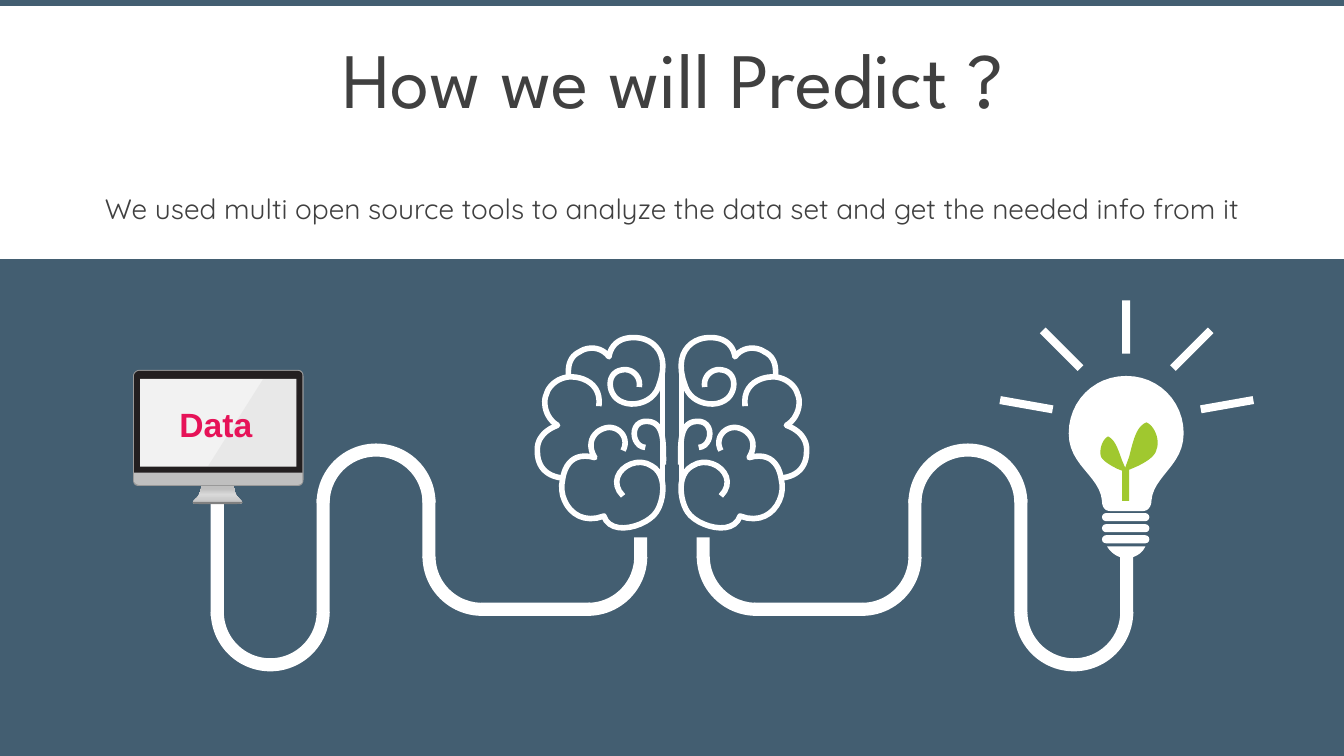
"""Build the 'How we will Predict ?' slide: data flows through a brain to an idea."""
from lxml.etree import SubElement
from pptx import Presentation
from pptx.dml.color import RGBColor
from pptx.enum.shapes import MSO_CONNECTOR as CONN, MSO_SHAPE as SHP
from pptx.enum.text import MSO_ANCHOR as ANC, MSO_AUTO_SIZE as FIT, PP_ALIGN as AL
from pptx.oxml.ns import qn
from pptx.util import Inches, Pt

W, H = 13.33, 7.5
SLATE, WHITE, DARK = "435E71", "FFFFFF", "404040"
rgb = RGBColor.from_string

prs = Presentation()
prs.slide_width, prs.slide_height = Inches(W), Inches(H)
slide = prs.slides.add_slide(prs.slide_layouts[5])
shapes = slide.shapes


def box(x, y, w, h, fill=WHITE, kind=SHP.RECTANGLE, rot=0, adj=()):
    """Add a filled preset shape without outline."""
    s = shapes.add_shape(kind, *map(Inches, (x, y, w, h)))
    s.shadow.inherit = False
    s.fill.solid()
    s.fill.fore_color.rgb = rgb(fill)
    s.line.fill.background()
    s.rotation = rot
    for i, value in enumerate(adj):
        s.adjustments[i] = value
    return s


def free(d, fill=None, mirror=False):
    """Draw M/L/C/Z path data, filled or as a white 4 pt stroke."""
    pts, nums, cmd = [], [], "M"
    for token in d.split():
        if token.isalpha():
            cmd = token
            continue
        nums.append(float(token))
        if len(nums) == (6 if cmd == "C" else 2):
            if cmd == "C":
                x0, y0 = pts[-1]
                x1, y1, x2, y2, x3, y3 = nums
                for t in (i / 12 for i in range(1, 13)):
                    a, b, c, e = (1 - t) ** 3, 3 * t * (1 - t) ** 2, 3 * t * t * (1 - t), t ** 3
                    pts.append((a * x0 + b * x1 + c * x2 + e * x3,
                                a * y0 + b * y1 + c * y2 + e * y3))
            else:
                pts.append(tuple(nums))
            nums = []
    pts = [(Inches(W - x if mirror else x), Inches(y)) for x, y in pts]
    fb = shapes.build_freeform(*pts[0])
    fb.add_line_segments(pts[1:], close=fill is not None)
    s = fb.convert_to_shape()
    s.shadow.inherit = False
    if fill:
        s.fill.solid()
        s.fill.fore_color.rgb = rgb(fill)
        s.line.fill.background()
    else:
        s.fill.background()
        s.line.color.rgb = rgb(WHITE)
        s.line.width = Pt(4)
    return s


box(0, 0, W, 0.06, SLATE)
box(0, 2.57, W, H - 2.57, SLATE)

for i in range(3):
    box(10.93, 5.09 + 0.11 * i, 0.47, 0.08, kind=SHP.ROUNDED_RECTANGLE, adj=[0.5])
free("M 10.98 5.42 L 11.36 5.42 C 11.33 5.49 11.26 5.53 11.18 5.54 "
     "C 11.1 5.54 11.02 5.49 10.98 5.42 Z", WHITE)
free("M 11.17 3.73 C 11.49 3.73 11.74 3.98 11.74 4.3 C 11.74 4.62 11.44 4.72 11.42 4.97 "
     "C 11.42 5.03 11.38 5.07 11.34 5.07 L 11.01 5.07 C 10.96 5.07 10.93 5.03 10.93 4.97 "
     "C 10.91 4.72 10.6 4.62 10.6 4.3 C 10.6 3.98 10.85 3.73 11.17 3.73 Z", WHITE)
for x, y, rot in [(10.14, 3.75, 280), (10.49, 3.2, 315), (11.13, 2.98, 0),
                  (11.78, 3.2, 45), (12.13, 3.75, 80)]:
    box(x, y, 0.08, 0.53, rot=rot)
free("M 11.37 4.19 C 11.45 4.22 11.51 4.37 11.47 4.46 C 11.46 4.52 11.38 4.58 11.27 4.63 "
     "L 11.2 4.66 L 11.2 4.97 L 11.13 4.97 L 11.13 4.67 L 11.08 4.65 "
     "C 11 4.61 10.94 4.57 10.92 4.53 C 10.9 4.47 10.93 4.36 10.99 4.33 "
     "C 11.06 4.36 11.09 4.46 11.13 4.57 L 11.16 4.64 L 11.2 4.53 "
     "C 11.24 4.37 11.27 4.23 11.37 4.19 Z", "A0C82F")

folds = [
    "M 6.99 3.84 C 6.97 3.74 7.06 3.65 7.16 3.67 C 7.3 3.69 7.31 3.86 7.22 3.95 "
    "C 7.1 4.06 6.86 4.01 6.8 3.84 C 6.67 3.51 6.85 3.36 7.02 3.35 "
    "C 7.17 3.34 7.27 3.41 7.29 3.54 C 7.37 3.43 7.51 3.44 7.58 3.49 "
    "C 7.69 3.54 7.7 3.65 7.69 3.75",
    "M 7.39 4.03 C 7.36 3.81 7.55 3.73 7.69 3.74 C 7.8 3.75 7.89 3.83 7.91 3.91 "
    "C 7.95 3.99 7.92 4.15 7.8 4.22 C 7.94 4.27 8.01 4.37 8 4.48 "
    "C 8 4.63 7.91 4.72 7.77 4.74",
    "M 7.15 4.47 C 7.09 4.36 7.17 4.24 7.29 4.24 C 7.42 4.25 7.53 4.38 7.43 4.54 "
    "C 7.64 4.48 7.73 4.61 7.75 4.76 C 7.8 4.96 7.63 5.23 7.34 5.12 "
    "C 7.27 5.33 6.91 5.22 6.82 5.08 C 6.75 4.98 6.7 4.71 6.87 4.62 "
    "C 7.06 4.5 7.34 4.73 7.15 4.92",
    "M 6.75 4.61 C 6.75 4.38 6.74 4.19 6.91 4.18 C 7.09 4.17 7.07 4.43 6.93 4.44",
]
for mirror, stem_x in [(False, 6.76), (True, 6.57)]:
    for fold in folds:
        free(fold, mirror=mirror)
    c = shapes.add_connector(CONN.STRAIGHT, *map(Inches, (stem_x, 3.63, stem_x, 4.88)))
    c.line.color.rgb = rgb(WHITE)
    c.line.width = Pt(4)
    SubElement(c.element.spPr, qn("a:effectLst"))

PIPE, ARC, PITCH = 0.13, 1.18, 1.05
HALF, QUARTER = (107.95, 215.8, 0.11), (162.48, 215.8, 0.11)
for mirror, end_y in [(False, 4.77), (True, 5.52)]:
    for i, (y, bottom) in enumerate([(end_y, 6.11), (4.95, 6.08), (4.95, 5.54), (None, None), (5.33, 5.54)]):
        x = 2.09 + PITCH * i
        if y:
            box(W - x - PIPE if mirror else x, y, PIPE, bottom - y)
    for i, (y, rot, adj) in enumerate([(5.48, 180, HALF), (4.4, 0, HALF),
                                       (4.93, 180, QUARTER), (4.93, 90, QUARTER)]):
        x = 2.09 + PITCH * i
        if mirror and adj == QUARTER:
            rot = 270 - rot
        box(W - x - ARC if mirror else x, y, ARC, ARC, kind=SHP.BLOCK_ARC, rot=rot, adj=adj)
    box(W - 4.77 - 1.08 if mirror else 4.77, 5.98, 1.08, PIPE)

s = free("M 2.36 4.93 C 2.32 4.9 2.32 4.82 2.32 4.82 L 2 4.82 C 2 4.82 1.99 4.89 1.96 4.93 "
         "C 1.92 4.97 1.87 5 1.96 5 L 2.35 5 C 2.45 5 2.39 4.97 2.36 4.93 Z", "BFBFBF")
s.fill.gradient()
s.fill.gradient_angle = 90
stops = next(s.element.spPr.iter(qn("a:gsLst")))
stops.clear()
for pos, color in [(0, "BFBFBF"), (53, "D9D9D9"), (83, "BFBFBF"), (100, "BFBFBF")]:
    gs = SubElement(stops, qn("a:gs"), pos=str(pos * 1000))
    SubElement(gs, qn("a:srgbClr"), val=color)

free("M 2.96 3.67 L 1.38 3.67 C 1.35 3.67 1.32 3.7 1.32 3.73 L 1.32 4.76 "
     "C 1.32 4.8 1.34 4.82 1.37 4.82 L 2.96 4.82 C 2.99 4.82 3.01 4.79 3.01 4.76 "
     "L 3.01 3.73 C 3.01 3.7 2.99 3.67 2.96 3.67 Z", "999999")
free("M 2.95 3.68 L 1.38 3.68 C 1.36 3.68 1.33 3.7 1.33 3.73 L 1.33 4.69 L 3 4.69 "
     "L 3 3.73 C 3 3.7 2.98 3.68 2.95 3.68 Z", "231F20")
free("M 1.91 4.98 C 1.91 5 1.93 5 1.97 5 L 2.35 5 C 2.39 5 2.41 4.99 2.41 4.98 Z", "808080")
free("M 1.33 4.77 C 1.33 4.79 1.36 4.81 1.38 4.81 L 2.95 4.81 C 2.98 4.81 3 4.79 3 4.77 "
     "L 3 4.69 L 1.33 4.69 Z", "BFBFBF")
box(1.39, 3.76, 1.55, 0.87, "F2F2F2")
s = free("M 2.61 3.76 L 2.95 3.76 L 2.94 4.63 L 2.06 4.63 Z", "999999")
SubElement(next(s.element.spPr.iter(qn("a:srgbClr"))), qn("a:alpha"), val="10000")

texts = [
    (shapes.title, (0.35, 0.43, 12.66, 0.79), "How we will Predict ?", DARK,
     dict(name="League Spartan", size=Pt(56)), dict(line_spacing=0.9, space_before=Pt(10)),
     dict(vertical_anchor=ANC.MIDDLE, auto_size=FIT.NONE)),
    (None, (0.49, 1.85, 12.43, 0.44),
     "We used multi open source tools to analyze the data set and get the needed info from it ",
     DARK, dict(name="Quicksand", size=Pt(20)), {}, dict(auto_size=FIT.SHAPE_TO_FIT_TEXT)),
    (None, (0.84, 3.96, 2.6, 0.44), "Data", "E61358",
     dict(name="Arial", size=Pt(24), bold=True), dict(space_before=Pt(2)), {}),
]
for s, at, text, color, font, para, frame in texts:
    at = dict(zip(("left", "top", "width", "height"), map(Inches, at)))
    s = s or shapes.add_textbox(**at)
    tf = s.text_frame
    p = tf.paragraphs[0]
    r = p.add_run()
    r.text = text
    r.font.color.rgb = rgb(color)
    for obj, fmt in [(s, at), (tf, dict(word_wrap=True, **frame)),
                     (p, dict(alignment=AL.CENTER, **para)), (r.font, font)]:
        for key, value in fmt.items():
            setattr(obj, key, value)

prs.save("out.pptx")
